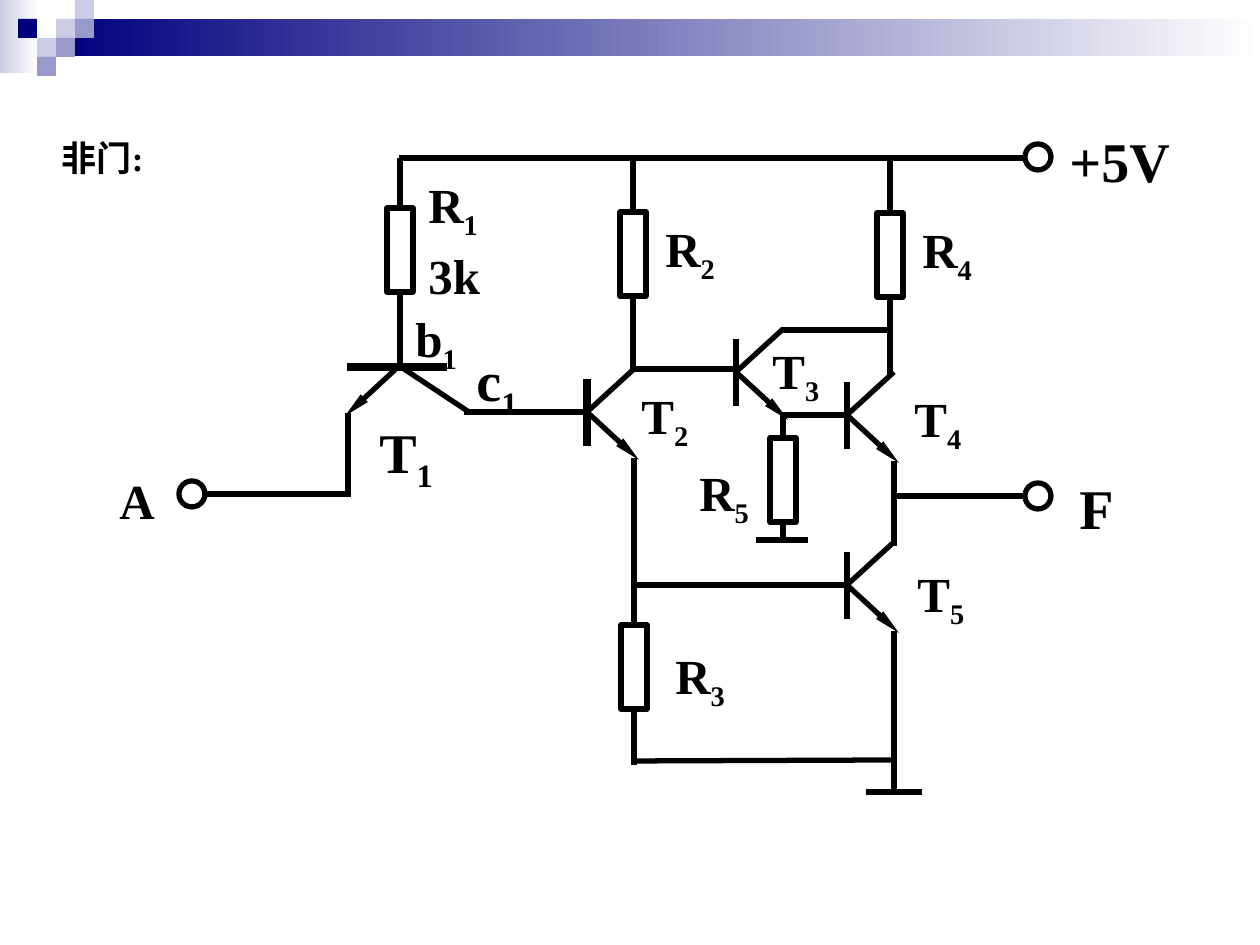
from dataclasses import dataclass

import pptx
import pptx.dml.color
import pptx.enum.shapes
import pptx.enum.text
import pptx.oxml
import pptx.oxml.ns
import pptx.util

EMU_PER_PX = 914400 / 126
SHAPE = pptx.enum.shapes.MSO_SHAPE
TITLE_ONLY = 5
TOP, BOTTOM = 0, 2


@dataclass(frozen=True)
class Theme:
    font: str = "Times New Roman"
    ink: str = "000000"
    navy: str = "00007D"
    violet: str = "9999CC"
    lilac: str = "CCCCE6"
    white: str = "FFFFFF"
    title_size: int = 20
    label_size: int = 28
    large_size: int = 32
    wire: float = 3
    thick: float = 4.5


THEME = Theme()


@dataclass(frozen=True)
class Label:
    text: str
    left: int
    top: int
    width: int
    subscript: str = ""
    size: int = THEME.label_size


@dataclass(frozen=True)
class Resistor:
    center: int
    top: int
    wire_top: int
    wire_bottom: int


@dataclass(frozen=True)
class Transistor:
    base_x: int
    base_y: int
    bar_width: float = THEME.wire


RESISTORS = [
    Resistor(400, 208, 158, 367),  # R1
    Resistor(633, 212, 158, 369),  # R2
    Resistor(634, 625, 458, 765),  # R3
    Resistor(890, 213, 158, 376),  # R4
    Resistor(783, 438, 415, 541),  # R5
]
TRANSISTORS = [
    Transistor(587, 412, THEME.thick),  # T2
    Transistor(736, 372),  # T3
    Transistor(847, 415),  # T4
    Transistor(847, 585),  # T5
]
WIRES = [
    (399, 158, 1026, 158),  # supply rail
    (401, 367, 469, 412),  # T1 collector
    (464, 412, 587, 412),
    (348, 413, 348, 497),  # input
    (350, 494, 206, 494),
    (633, 369, 736, 369),
    (781, 330, 890, 330),
    (781, 415, 847, 415),
    (634, 585, 847, 585),
    (894, 461, 894, 546),  # output
    (894, 496, 1026, 496),
    (894, 631, 894, 793),
    (634, 761, 894, 760),
    (756, 540, 808, 540),  # grounds
    (866, 792, 922, 792),
]
TERMINALS = [(1038, 157), (1038, 496), (192, 494)]
LABELS = [
    Label("+5V", 1057, 120, 173, size=THEME.large_size),
    Label("F", 1067, 467, 102, size=THEME.large_size),
    Label("A", 107, 464, 97),
    Label("3k", 416, 239, 170),
    Label("R", 416, 168, 145, "1"),
    Label("R", 653, 212, 145, "2"),
    Label("R", 663, 639, 142, "3"),
    Label("R", 910, 213, 145, "4"),
    Label("R", 687, 456, 87, "5"),
    Label("T", 367, 411, 100, "1", THEME.large_size),
    Label("T", 629, 379, 84, "2"),
    Label("T", 760, 334, 136, "3"),
    Label("T", 902, 382, 92, "4"),
    Label("T", 905, 557, 92, "5"),
    Label("b", 403, 302, 111, "1"),
    Label("c", 464, 339, 139, "1", THEME.large_size),
]
# Column, row and colour of the corner squares
SQUARES = [
    (2, 1, THEME.lilac), (3, 0, THEME.lilac), (3, 1, THEME.violet),
    (1, 2, THEME.lilac), (0, 1, THEME.navy), (2, 2, THEME.violet),
    (1, 3, THEME.violet),
]


def px(length: float) -> pptx.util.Emu:
    return pptx.util.Emu(round(length * EMU_PER_PX))


def rgb(color: str) -> pptx.dml.color.RGBColor:
    return pptx.dml.color.RGBColor.from_string(color)


def add_shape(page, kind, left: int, top: int, width: int, height: int):
    shape = page.shapes.add_shape(kind, px(left), px(top), px(width), px(height))
    shape.shadow.inherit = False
    return shape


def add_block(page, left: int, top: int, width: int, height: int,
              color: str, fade: bool = False) -> None:
    """Draw a borderless rectangle, plain or fading to white rightwards."""
    block = add_shape(page, SHAPE.RECTANGLE, left, top, width, height)
    block.line.fill.background()
    if fade:
        block.fill.gradient()
        block.fill.gradient_angle = 0
        for stop, shade in zip(block.fill.gradient_stops, (color, THEME.white)):
            stop.color.rgb = rgb(shade)
    else:
        block.fill.solid()
        block.fill.fore_color.rgb = rgb(color)


def add_outline(page, kind, left: int, top: int, width: int, height: int):
    shape = add_shape(page, kind, left, top, width, height)
    shape.fill.background()
    shape.line.color.rgb = rgb(THEME.ink)
    shape.line.width = pptx.util.Pt(THEME.wire)
    return shape


def add_wire(page, x1: int, y1: int, x2: int, y2: int,
             width: float = THEME.wire, arrow: bool = False):
    wire = page.shapes.add_connector(
        pptx.enum.shapes.MSO_CONNECTOR.STRAIGHT, px(x1), px(y1), px(x2), px(y2))
    wire.line.color.rgb = rgb(THEME.ink)
    wire.line.width = pptx.util.Pt(width)
    if arrow:
        wire.line._get_or_add_ln().append(pptx.oxml.parse_xml(
            f'<a:tailEnd {pptx.oxml.ns.nsdecls("a")} type="triangle" w="sm" len="lg"/>'))
    wire._element.spPr.append(pptx.oxml.parse_xml(
        f'<a:effectLst {pptx.oxml.ns.nsdecls("a")}/>'))
    return wire


def add_resistor(page, item: Resistor) -> None:
    width, height = 26, 84
    body = add_outline(page, SHAPE.RECTANGLE, item.center - width // 2, item.top, width, height)
    upper = add_wire(page, item.center, item.wire_top, item.center, item.top)
    upper.end_connect(body, TOP)
    lower = add_wire(page, item.center, item.wire_bottom, item.center, item.top + height)
    lower.end_connect(body, BOTTOM)


def add_transistor(page, item: Transistor) -> None:
    x, y = item.base_x, item.base_y
    add_wire(page, x, y - 33, x, y + 34, item.bar_width)
    add_wire(page, x, y, x + 47, y - 43)
    add_wire(page, x, y, x + 52, y + 48, arrow=True)


def style_span(span, size: int) -> None:
    span.font.name = THEME.font
    span.font.size = pptx.util.Pt(size)
    span.font.bold = True
    span.font.color.rgb = rgb(THEME.ink)


def add_label(page, item: Label) -> None:
    box = page.shapes.add_textbox(px(item.left), px(item.top), px(item.width), px(76))
    box.text_frame.word_wrap = True
    para = box.text_frame.paragraphs[0]
    para.text = item.text
    if item.subscript:
        span = para.add_run()
        span.text = item.subscript
        span.font._element.set("baseline", "-25000")
    for span in para.runs:
        style_span(span, item.size)


def add_title(page, text: str) -> None:
    title = page.shapes.title
    title.left, title.top, title.width, title.height = px(49), px(130), px(123), px(55)
    frame = title.text_frame
    frame.text = text
    frame.word_wrap = False
    frame.auto_size = pptx.enum.text.MSO_AUTO_SIZE.NONE
    frame.vertical_anchor = pptx.enum.text.MSO_ANCHOR.MIDDLE
    para = frame.paragraphs[0]
    para.alignment = pptx.enum.text.PP_ALIGN.LEFT
    style_span(para.runs[0], THEME.title_size)


def main() -> None:
    deck = pptx.Presentation()
    deck.slide_width, deck.slide_height = px(1260), px(945)
    page = deck.slides.add_slide(deck.slide_layouts[TITLE_ONLY])
    add_block(page, 0, 0, 39, 73, THEME.lilac, fade=True)
    add_block(page, 57, 19, 1203, 37, THEME.navy, fade=True)
    for column, row, color in SQUARES:
        add_block(page, 18 + 19 * column, 19 * row, 19, 19, color)
    add_title(page, "非门:")
    add_wire(page, 347, 367, 447, 367, THEME.thick)  # T1 base
    add_wire(page, 398, 367, 345, 416, arrow=True)  # T1 emitter
    for transistor in TRANSISTORS:
        add_transistor(page, transistor)
    for resistor in RESISTORS:
        add_resistor(page, resistor)
    for ends in WIRES:
        add_wire(page, *ends)
    for x, y in TERMINALS:
        add_outline(page, SHAPE.OVAL, x - 13, y - 13, 26, 26)
    for label in LABELS:
        add_label(page, label)
    deck.save("out.pptx")


if __name__ == "__main__":
    main()
